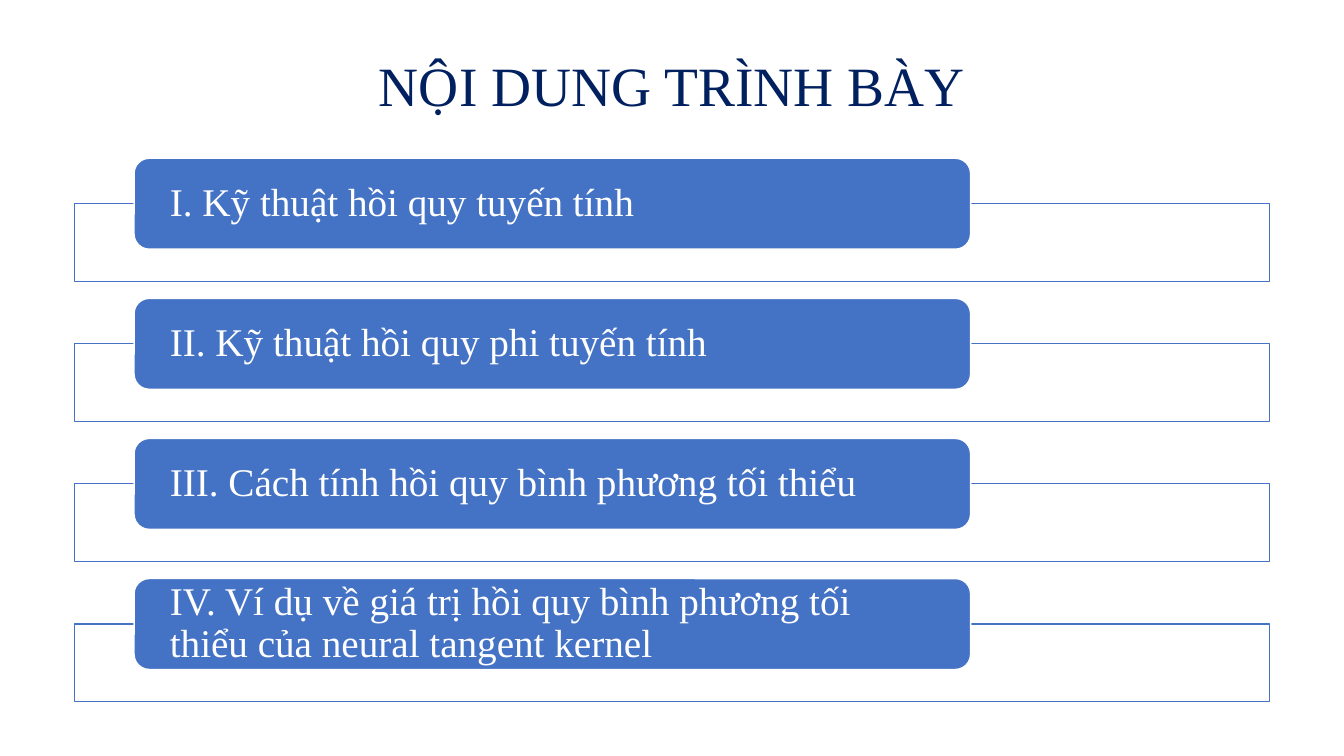
from pptx import Presentation
from pptx.dml.color import RGBColor
from pptx.enum.shapes import MSO_SHAPE as Shape
from pptx.enum.text import MSO_ANCHOR as Anchor, PP_ALIGN as Align
from pptx.util import Cm, Pt

# Content
TITLE = "NỘI DUNG TRÌNH BÀY"
SECTIONS = [
    "I. Kỹ thuật hồi quy tuyến tính",
    "II. Kỹ thuật hồi quy phi tuyến tính",
    "III. Cách tính hồi quy bình phương tối thiểu",
    "IV. Ví dụ về giá trị hồi quy bình phương tối thiểu của neural tangent kernel",
]

# Style
FONT = "Times New Roman"
COLORS = {"navy": "002060", "blue": "4472C4", "white": "FFFFFF"}

# Layout in centimetres: left, top, width, height of the first row
TITLE_BOX = (4.19, 1.32, 25.48, 1.83)
FRAME = (1.88, 5.13, 30.12, 1.96)
LABEL = (3.38, 3.99, 21.08, 2.29)
ROW_STEP = 3.53
LABEL_INSET = 0.79


def color(name):
    return RGBColor.from_string(COLORS[name])


def add_box(slide, kind, box, dy, fill, line):
    left, top, width, height = box
    sp = slide.shapes.add_shape(kind, Cm(left), Cm(top + dy), Cm(width), Cm(height))
    sp.shadow.inherit = False
    sp.fill.solid()
    sp.fill.fore_color.rgb = color(fill)
    sp.line.color.rgb = color(line)
    sp.line.width = Pt(1)
    return sp


def set_text(sp, text, size, ink, align, inset):
    tf = sp.text_frame
    tf.word_wrap = True
    tf.vertical_anchor = Anchor.MIDDLE
    tf.margin_left = tf.margin_right = Cm(inset)
    tf.margin_top = tf.margin_bottom = 0
    p = tf.paragraphs[0]
    p.text = text
    p.alignment = align
    p.line_spacing = 0.9
    p.font.name = FONT
    p.font.size = Pt(size)
    p.font.color.rgb = color(ink)


prs = Presentation()
prs.slide_width, prs.slide_height = Cm(33.87), Cm(19.05)
s = prs.slides.add_slide(prs.slide_layouts[6])

# Title
title = s.shapes.add_textbox(*map(Cm, TITLE_BOX))
set_text(title, TITLE, 39.6, "navy", Align.CENTER, 0.25)

# Section rows: a frame with a label over its top edge
for i, section in enumerate(SECTIONS):
    dy = i * ROW_STEP
    add_box(s, Shape.RECTANGLE, FRAME, dy, "white", "blue")
    label = add_box(s, Shape.ROUNDED_RECTANGLE, LABEL, dy, "blue", "white")
    set_text(label, section, 28, "white", Align.LEFT, LABEL_INSET)

prs.save("out.pptx")
